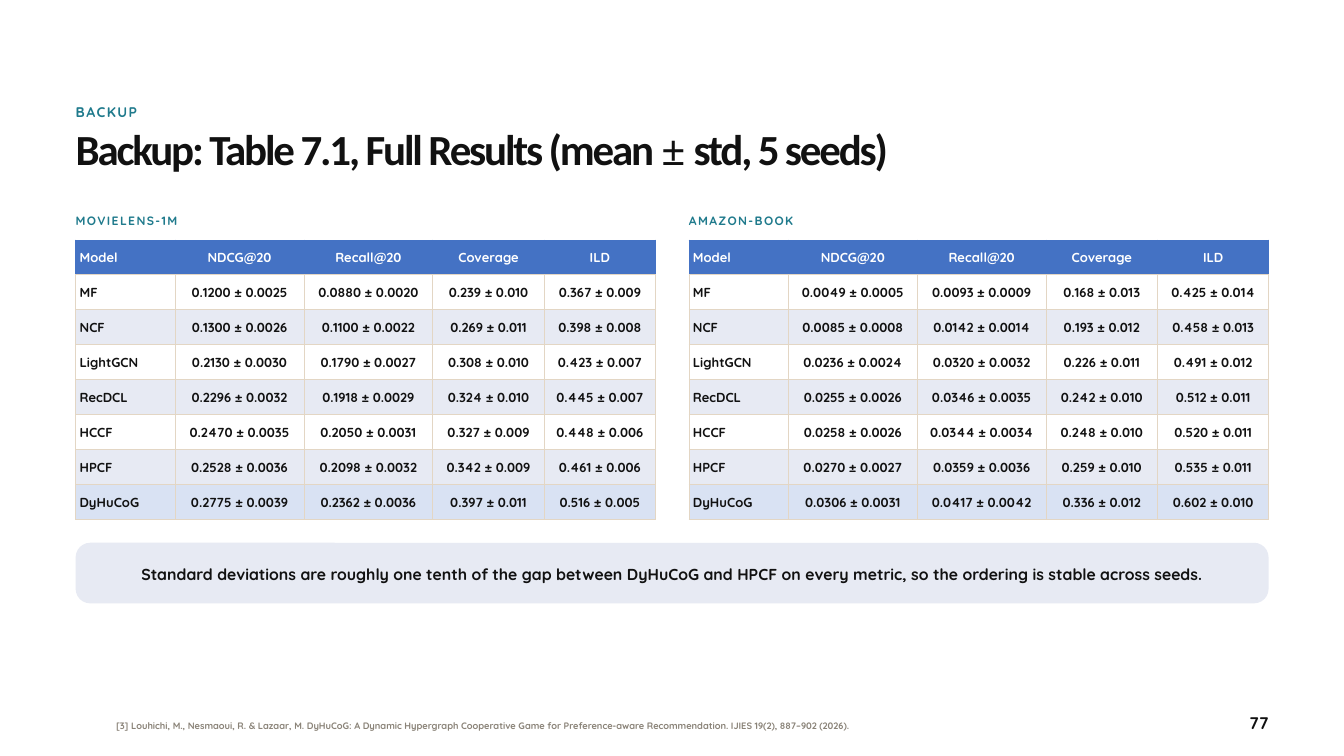
from lxml import etree
from pptx import Presentation
from pptx import util as u
from pptx.dml.color import RGBColor
from pptx.enum import shapes, text
from pptx.oxml.ns import qn

COLORS = {
    "ink": "111111", "teal": "1F7A8C", "note": "8A8378", "white": "FFFFFF",
    "header": "4472C4", "band": "E7EAF3", "highlight": "D9E2F3", "rule": "E3D6C4",
}
FONT = "Quicksand"
LEFT, RIGHT_TABLE, FULL_WIDTH = 2.86, 26.04, 45.09
COLUMN_WIDTHS = [3.76, 4.87, 4.87, 4.21, 4.21]
TABLE_WIDTH = sum(COLUMN_WIDTHS)
ROW_HEIGHT = 1.32

HEADINGS = ["Model", "NDCG@20", "Recall@20", "Coverage", "ILD"]
MOVIELENS = [
    ["MF", "0.1200 ± 0.0025", "0.0880 ± 0.0020", "0.239 ± 0.010", "0.367 ± 0.009"],
    ["NCF", "0.1300 ± 0.0026", "0.1100 ± 0.0022", "0.269 ± 0.011", "0.398 ± 0.008"],
    ["LightGCN", "0.2130 ± 0.0030", "0.1790 ± 0.0027", "0.308 ± 0.010", "0.423 ± 0.007"],
    ["RecDCL", "0.2296 ± 0.0032", "0.1918 ± 0.0029", "0.324 ± 0.010", "0.445 ± 0.007"],
    ["HCCF", "0.2470 ± 0.0035", "0.2050 ± 0.0031", "0.327 ± 0.009", "0.448 ± 0.006"],
    ["HPCF", "0.2528 ± 0.0036", "0.2098 ± 0.0032", "0.342 ± 0.009", "0.461 ± 0.006"],
    ["DyHuCoG", "0.2775 ± 0.0039", "0.2362 ± 0.0036", "0.397 ± 0.011", "0.516 ± 0.005"],
]
AMAZON_BOOK = [
    ["MF", "0.0049 ± 0.0005", "0.0093 ± 0.0009", "0.168 ± 0.013", "0.425 ± 0.014"],
    ["NCF", "0.0085 ± 0.0008", "0.0142 ± 0.0014", "0.193 ± 0.012", "0.458 ± 0.013"],
    ["LightGCN", "0.0236 ± 0.0024", "0.0320 ± 0.0032", "0.226 ± 0.011", "0.491 ± 0.012"],
    ["RecDCL", "0.0255 ± 0.0026", "0.0346 ± 0.0035", "0.242 ± 0.010", "0.512 ± 0.011"],
    ["HCCF", "0.0258 ± 0.0026", "0.0344 ± 0.0034", "0.248 ± 0.010", "0.520 ± 0.011"],
    ["HPCF", "0.0270 ± 0.0027", "0.0359 ± 0.0036", "0.259 ± 0.010", "0.535 ± 0.011"],
    ["DyHuCoG", "0.0306 ± 0.0031", "0.0417 ± 0.0042", "0.336 ± 0.012", "0.602 ± 0.010"],
]


def color(name):
    return RGBColor.from_string(COLORS[name])


def add_span(para, words, size, ink, font=FONT, spacing=0):
    """Add one bold run; spacing is the letter spacing in points."""
    span = para.add_run()
    span.text = words
    span.font.size = u.Pt(size)
    span.font.name = font
    span.font.bold = True
    span.font.color.rgb = color(ink)
    if spacing:
        span.font._element.set("spc", str(round(spacing * 100)))


def format_para(para, line, align="LEFT"):
    para.line_spacing = u.Pt(line)
    para.alignment = getattr(text.PP_ALIGN, align)


def set_frame(frame, side=0, end=0, anchor="TOP"):
    frame.word_wrap = True
    frame.auto_size = text.MSO_AUTO_SIZE.NONE
    frame.margin_left = frame.margin_right = u.Cm(side)
    frame.margin_top = frame.margin_bottom = u.Cm(end)
    frame.vertical_anchor = getattr(text.MSO_ANCHOR, anchor)


def add_label(page, place, words, size, ink, line, align="LEFT", anchor="TOP", spacing=0):
    box = page.shapes.add_textbox(*map(u.Cm, place))
    set_frame(box.text_frame, anchor=anchor)
    para = box.text_frame.paragraphs[0]
    format_para(para, line, align)
    add_span(para, words, size, ink, spacing=spacing)


def fill_title(page):
    title = page.shapes.title
    title.left, title.top = u.Cm(LEFT), u.Cm(4.78)
    title.width, title.height = u.Cm(FULL_WIDTH), u.Cm(2.03)
    set_frame(title.text_frame)
    para = title.text_frame.paragraphs[0]
    format_para(para, 50.6)
    for words, font in [("Backup: Table 7.1, Full Results (mean ", "Calibri"),
                        ("± ", "Times New Roman"),
                        ("std, 5 seeds)", "Calibri")]:
        add_span(para, words, 46, "ink", font, -2.3)


def set_borders(cell, name):
    properties = cell._tc.get_or_add_tcPr()
    for side in ("lnL", "lnR", "lnT", "lnB"):
        line = etree.SubElement(properties, qn(f"a:{side}"), w=str(u.Pt(1)))
        solid = etree.SubElement(line, qn("a:solidFill"))
        etree.SubElement(solid, qn("a:srgbClr"), val=COLORS[name])


def fill_cell(cell, words, ink, fill, border, align):
    set_borders(cell, border)
    cell.fill.solid()
    cell.fill.fore_color.rgb = color(fill)
    cell.vertical_anchor = text.MSO_ANCHOR.MIDDLE
    cell.margin_left = cell.margin_right = u.Cm(0.15)
    cell.margin_top = cell.margin_bottom = u.Cm(0.13)
    para = cell.text_frame.paragraphs[0]
    format_para(para, 18.2, align)
    add_span(para, words, 14, ink)


def row_style(index, last):
    """Return text, fill and border colours of a table row."""
    if index == 0:
        return "white", "header", "header"
    if index == last:
        return "ink", "highlight", "rule"
    return "ink", "white" if index % 2 else "band", "rule"


def add_results(page, left, heading, results):
    add_label(page, (left, 8.05, TABLE_WIDTH, 0.89), heading, 13, "teal", 16, spacing=1.5)
    rows = [HEADINGS] + results
    place = (left, 9.07, TABLE_WIDTH, ROW_HEIGHT * len(rows))
    table = page.shapes.add_table(len(rows), len(HEADINGS), *map(u.Cm, place)).table
    for column, width in zip(table.columns, COLUMN_WIDTHS):
        column.width = u.Cm(width)
    for r, row in enumerate(rows):
        table.rows[r].height = u.Cm(ROW_HEIGHT)
        style = row_style(r, len(results))
        for c, words in enumerate(row):
            fill_cell(table.cell(r, c), words, *style, "CENTER" if c else "LEFT")


def add_takeaway(page, words):
    place = (LEFT, 20.52, FULL_WIDTH, 2.29)
    box = page.shapes.add_shape(shapes.MSO_SHAPE.ROUNDED_RECTANGLE, *map(u.Cm, place))
    box.adjustments[0] = 0.24
    box.shadow.inherit = False
    box.fill.solid()
    box.fill.fore_color.rgb = color("band")
    box.line.fill.background()
    set_frame(box.text_frame, 1.02, 0.13, "MIDDLE")
    para = box.text_frame.paragraphs[0]
    format_para(para, 22, "CENTER")
    add_span(para, words, 17, "ink")


def main():
    deck = Presentation()
    deck.slide_width, deck.slide_height = u.Cm(50.8), u.Cm(28.58)
    page = deck.slides.add_slide(deck.slide_layouts[5])
    page.background.fill.solid()
    page.background.fill.fore_color.rgb = color("white")

    add_label(page, (LEFT, 3.86, 35.94, 0.91), "BACKUP", 15, "teal", 20, spacing=1.6)
    fill_title(page)
    add_results(page, LEFT, "MOVIELENS-1M", MOVIELENS)
    add_results(page, RIGHT_TABLE, "AMAZON-BOOK", AMAZON_BOOK)
    add_takeaway(page, "Standard deviations are roughly one tenth of the gap between DyHuCoG "
                       "and HPCF on every metric, so the ordering is stable across seeds.")
    add_label(page, (4.39, 26.67, 40.26, 1.57),
              "[3] Louhichi, M., Nesmaoui, R. & Lazaar, M. DyHuCoG: A Dynamic Hypergraph "
              "Cooperative Game for Preference-aware Recommendation. IJIES 19(2), 887–902 (2026).",
              10, "note", 12, anchor="MIDDLE")
    add_label(page, (44.9, 26.92, 3.05, 0.91), "77", 18, "ink", 22, align="RIGHT")
    deck.save("out.pptx")


if __name__ == "__main__":
    main()
